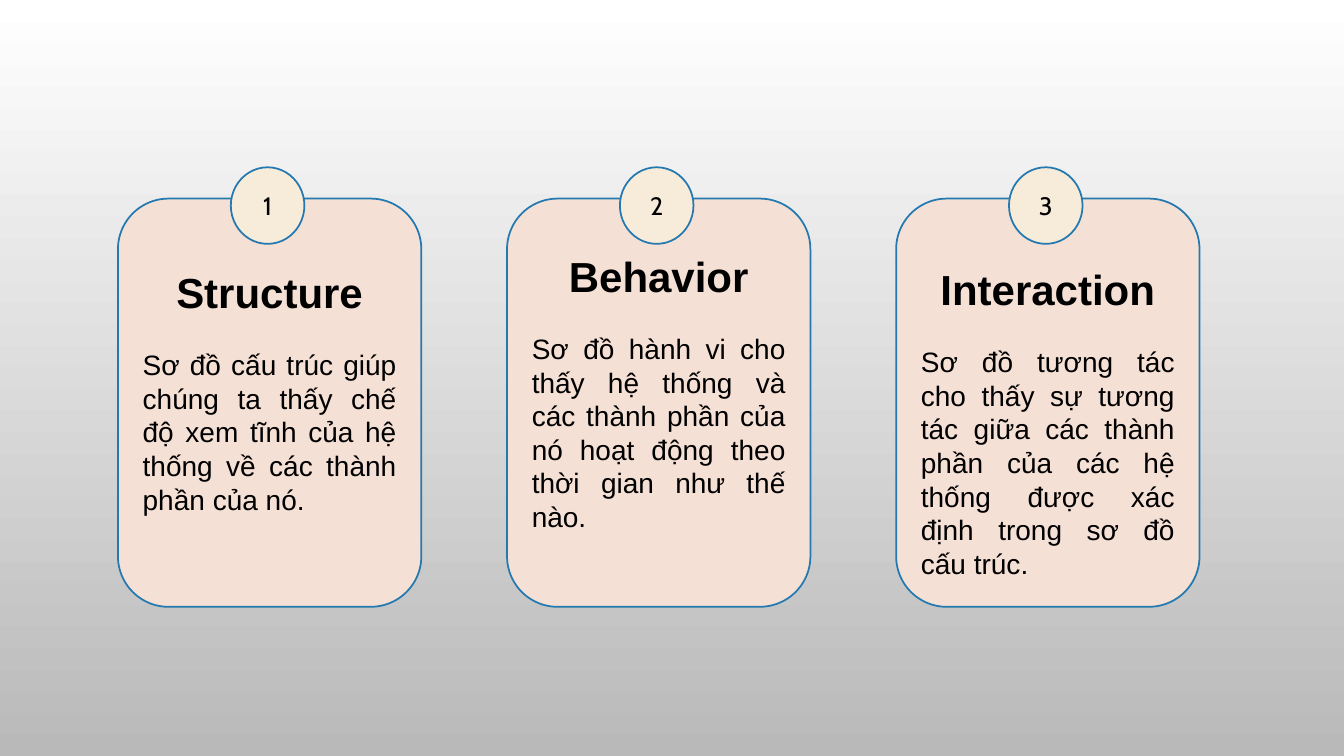
import dataclasses

import pptx
import pptx.dml.color
import pptx.enum.shapes
import pptx.enum.text
import pptx.util

SHAPES = pptx.enum.shapes.MSO_SHAPE
ALIGN = pptx.enum.text.PP_ALIGN
ANCHOR = pptx.enum.text.MSO_ANCHOR


@dataclasses.dataclass(frozen=True)
class Theme:
    sky: str = "FFFFFF"
    ground: str = "B9B9B9"
    card: str = "F5E0D6"
    badge: str = "F7EBD9"
    outline: str = "2379B0"
    ink: str = "000000"
    text_font: str = "Arial"
    badge_font: str = "Cabin"
    title_size: int = 30
    body_size: int = 20
    badge_size: int = 18
    title_gap: float = 21.7
    outline_width: float = 1.25


# Grid: ten columns and ten rows to the inch.
CELL = pptx.util.Inches(0.1)
PAGE_COLUMNS, PAGE_ROWS = 133.33, 75
STEP = 38.6
CARD_LEFT, CARD_TOP, CARD_WIDTH, CARD_HEIGHT = 11.7, 19.7, 30.1, 40.5
BADGE_LEFT, BADGE_TOP, BADGE_WIDTH, BADGE_HEIGHT = 22.9, 16.6, 7.3, 7.6

# Title, body, rows between the card's text area and the title
CARDS = [
    ("Structure",
     "Sơ đồ cấu trúc giúp chúng ta thấy chế độ xem tĩnh của hệ thống "
     "về các thành phần của nó.", 5.3),
    ("Behavior",
     "Sơ đồ hành vi cho thấy hệ thống và các thành phần của nó hoạt động "
     "theo thời gian như thế nào.", 3.7),
    ("Interaction",
     "Sơ đồ tương tác cho thấy sự tương tác giữa các thành phần của các "
     "hệ thống được xác định trong sơ đồ cấu trúc.", 5.0),
]


def cells(count):
    return pptx.util.Emu(round(count * CELL))


def color(value):
    return pptx.dml.color.RGBColor.from_string(value)


class Page:
    def __init__(self, deck, theme):
        self.theme = theme
        self.slide = deck.slides.add_slide(deck.slide_layouts[6])

    def background(self):
        fill = self.slide.background.fill
        fill.gradient()
        fill.gradient_angle = 270
        for stop, shade in zip(fill.gradient_stops,
                               (self.theme.sky, self.theme.ground)):
            stop.color.rgb = color(shade)

    def shape(self, kind, left, top, width, height, fill):
        box = self.slide.shapes.add_shape(
            kind, *map(cells, (left, top, width, height)))
        box.shadow.inherit = False
        box.fill.solid()
        box.fill.fore_color.rgb = color(fill)
        box.line.color.rgb = color(self.theme.outline)
        box.line.width = pptx.util.Pt(self.theme.outline_width)
        box.text_frame.word_wrap = True
        return box

    def add_span(self, para, text, size, font, align, bold=False):
        para.alignment = align
        span = para.add_run()
        span.text = text
        span.font.size = pptx.util.Pt(size)
        span.font.name = font
        span.font.bold = bold
        span.font.color.rgb = color(self.theme.ink)

    def card(self, left, title, body, title_drop):
        theme = self.theme
        box = self.shape(SHAPES.ROUNDED_RECTANGLE, left, CARD_TOP,
                         CARD_WIDTH, CARD_HEIGHT, theme.card)
        frame = box.text_frame
        frame.vertical_anchor = ANCHOR.TOP
        frame.margin_top = cells(title_drop)
        heading = frame.paragraphs[0]
        heading.space_after = pptx.util.Pt(theme.title_gap)
        self.add_span(heading, title, theme.title_size, theme.text_font,
                      ALIGN.CENTER, bold=True)
        self.add_span(frame.add_paragraph(), body, theme.body_size,
                      theme.text_font, ALIGN.JUSTIFY)

    def badge(self, left, number):
        theme = self.theme
        box = self.shape(SHAPES.OVAL, left, BADGE_TOP, BADGE_WIDTH,
                         BADGE_HEIGHT, theme.badge)
        box.text_frame.vertical_anchor = ANCHOR.MIDDLE
        self.add_span(box.text_frame.paragraphs[0], str(number),
                      theme.badge_size, theme.badge_font, ALIGN.CENTER)


def main():
    deck = pptx.Presentation()
    deck.slide_width = cells(PAGE_COLUMNS)
    deck.slide_height = cells(PAGE_ROWS)
    page = Page(deck, Theme())
    page.background()
    for index, (title, body, title_drop) in enumerate(CARDS):
        page.card(CARD_LEFT + index * STEP, title, body, title_drop)
    for index in range(len(CARDS)):
        page.badge(BADGE_LEFT + index * STEP, index + 1)
    deck.save("out.pptx")


if __name__ == "__main__":
    main()
